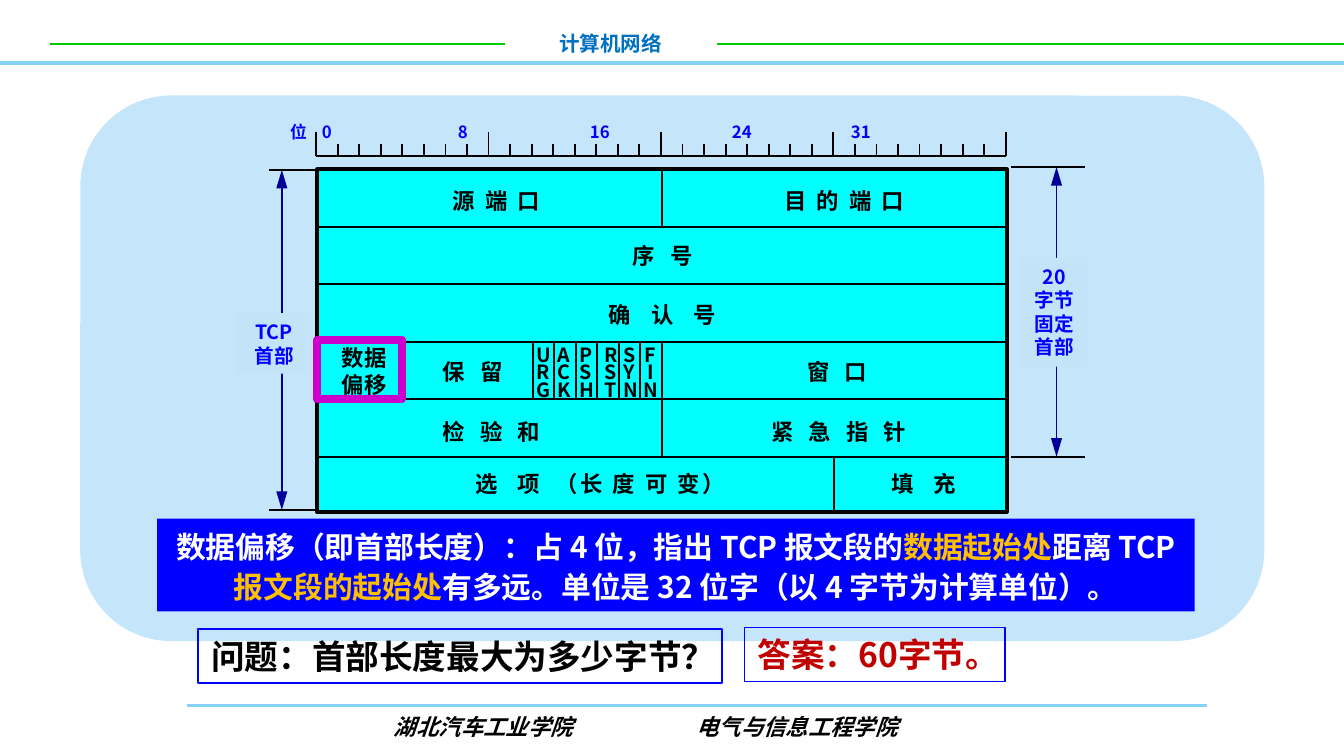
from lxml.etree import SubElement
from pptx import Presentation
from pptx.dml.color import RGBColor
from pptx.enum.shapes import MSO_CONNECTOR, MSO_SHAPE
from pptx.enum.text import MSO_ANCHOR, PP_ALIGN
from pptx.oxml.ns import qn
from pptx.util import Pt

COLORS = {
    "black": "000000", "white": "FFFFFF", "blue": "0000FF", "navy": "000099",
    "sky": "85D1F7", "green": "00CC00", "title": "0070C0", "panel": "C5E5FB",
    "label": "C3E3F9", "cyan": "00FFFF", "magenta": "CC00CC",
    "gold": "FFC000", "red": "C00000",
}
CJK = "Noto Sans CJK SC"
CENTER, LEFT = PP_ALIGN.CENTER, PP_ALIGN.LEFT


def rgb(name):
    return RGBColor.from_string(COLORS[name])


def add_line(page, x1, y1, x2, y2, color="black", width=1, arrows=False):
    line = page.shapes.add_connector(
        MSO_CONNECTOR.STRAIGHT, Pt(x1), Pt(y1), Pt(x2), Pt(y2))
    line.line.color.rgb = rgb(color)
    line.line.width = Pt(width)
    properties = line._element.spPr
    if arrows:
        outline = properties.find(qn("a:ln"))
        for end in ("a:headEnd", "a:tailEnd"):
            SubElement(outline, qn(end), type="triangle", w="med", len="lg")
    SubElement(properties, qn("a:effectLst"))


def add_box(page, left, top, width, height, fill=None, line=None,
            line_width=1, kind=MSO_SHAPE.RECTANGLE):
    box = page.shapes.add_shape(kind, Pt(left), Pt(top), Pt(width), Pt(height))
    box.shadow.inherit = False
    if fill:
        box.fill.solid()
        box.fill.fore_color.rgb = rgb(fill)
    else:
        box.fill.background()
    if line:
        box.line.color.rgb = rgb(line)
        box.line.width = Pt(line_width)
    else:
        box.line.fill.background()
    return box


def add_text(page, left, top, width, height, paras, size, **style):
    box = page.shapes.add_textbox(Pt(left), Pt(top), Pt(width), Pt(height))
    write(box, paras, size, **style)
    return box


def write(box, paras, size, color="black", align=CENTER, wrap=False,
          anchor=MSO_ANCHOR.TOP, line_spacing=None, font=CJK, italic=False,
          tabs=()):
    """Each paragraph is a list of (text, color or None, letter spacing) runs."""
    frame = box.text_frame
    frame.word_wrap = wrap
    frame.vertical_anchor = anchor
    for index, runs in enumerate(paras):
        para = frame.add_paragraph() if index else frame.paragraphs[0]
        para.alignment = align
        if line_spacing:
            para.line_spacing = line_spacing
        if tabs:
            stops = SubElement(para._p.get_or_add_pPr(), qn("a:tabLst"))
            for stop in tabs:
                SubElement(stops, qn("a:tab"), pos=str(Pt(stop)), algn="l")
        for text, own_color, spacing in runs:
            span = para.add_run()
            span.text = text
            span.font.size = Pt(size)
            span.font.bold = True
            span.font.italic = italic
            span.font.color.rgb = rgb(own_color or color)
            span.font.name = font
            properties = span._r.get_or_add_rPr()
            SubElement(properties, qn("a:ea"), typeface=CJK)
            if spacing:
                properties.set("spc", str(round(spacing * 100)))


def plain(*texts):
    return [[(text, None, 0)] for text in texts]


def draw_frame(page, width):
    # Course title between rules, and the footer
    add_line(page, 100, 378, 646.5, 378, "sky", 1.5)
    add_line(page, 384, 23.8, width, 23.8, "green")
    add_line(page, 26.6, 23.8, 270.7, 23.8, "green")
    add_line(page, 0, 33.8, width, 33.8, "sky", 2)
    add_text(page, 270.7, 13, 113, 20.9, plain("计算机网络"), 11, color="title")
    footer = add_text(page, 211, 378.7, 406, 21.6,
                      plain("湖北汽车工业学院\t电气与信息工程学院"), 12,
                      align=LEFT, font="Arial", italic=True, tabs=[162])
    footer.text_frame.margin_left = 0


def draw_ruler(page, left, base, width):
    # 32 bit ticks, a tall one at each byte
    add_line(page, left, base, left + width, base)
    for bit in range(33):
        x = left + bit * width / 32
        add_line(page, x, base - (6.5 if bit % 8 else 13), x, base)
    add_text(page, left - 21, base - 21.6, 402, 18,
             plain("位\t0\t8\t16\t24\t31"), 9, color="blue", align=LEFT,
             wrap=True, tabs=[17, 89.8, 160.6, 236.6, 300.4])


def draw_segment_header(page, left, top, width, height):
    row, bit = 30.8, width / 32
    add_box(page, left, top, width, height, "cyan", "black", 2)
    for index in range(1, 6):
        y = top + index * row
        add_line(page, left, y, left + width, y)

    # Field dividers: bit, first row, last row
    dividers = [(16, 0, 1), (16, 3, 5), (4, 3, 4), (24, 5, height / row)]
    dividers += [(flag_bit, 3, 4) for flag_bit in range(10, 16)]
    for at_bit, first, last in dividers:
        x = left + at_bit * bit
        add_line(page, x, top + first * row, x, top + last * row)

    # Field names: text, centre, top, letter spacing
    fields = [
        ("源 端 口", 95.3, 5.8, 1.35), ("目 的 端 口", 281.7, 5.8, 1.35),
        ("序 号", 183.7, 35.3, 2.7), ("确 认 号", 183.1, 67, 4.05),
        ("保 留", 81.9, 97.8, 2.7), ("窗 口", 277.4, 97.4, 2.7),
        ("检 验 和", 92.1, 129.6, 2.7), ("紧 急 指 针", 278, 129.6, 2.7),
        ("填 充", 323, 157.7, 4.05),
    ]
    for text, center, down, spacing in fields:
        add_text(page, left + center + spacing / 2 - 60, top + down, 120, 21.6,
                 [[(text, None, spacing)]], 12)
    add_text(page, left + 69, top + 157.7, 165.6, 21.6,
             [[("选 项", None, 4.05), (" （长 度 可 变）", None, 1.35)]], 12)
    add_text(page, left + 5.7, top + 90, 38.9, 36, plain("数据", "偏移"), 12)

    # Flag names, one letter to a line
    flags = [("URG", 110.2), ("ACK", 121.7), ("PSH", 133.2),
             ("RST", 146.9), ("SYN", 157), ("FIN", 167.1)]
    for flag, offset in flags:
        add_text(page, left + offset, top + 92.2, 23, 37, plain(*flag), 10.5,
                 align=CENTER if flag == "FIN" else LEFT, line_spacing=0.75)

    # Highlight on the data offset field
    add_box(page, left, top + 91.5, 45.4, 31.7, line="magenta", line_width=4.5)


def draw_span(page, x, top, bottom, tick_left, tick_right):
    # Double arrow between two end ticks
    add_line(page, x, top, x, bottom, "navy", arrows=True)
    for y in (top, bottom):
        add_line(page, tick_left, y, tick_right, y)


def draw_span_label(page, left, top, width, height, paras, **style):
    label = add_box(page, left, top, width, height, "label")
    write(label, paras, 10.5, color="blue", **style)


def draw_notes(page, left, top, width):
    # Explanation banner
    banner = add_box(page, left, top, width, 49.7, "blue")
    write(banner, [[
        ("数据偏移（即首部长度）：占 4 位，指出 TCP 报文段的", None, 0),
        ("数据起始处", "gold", 0), ("距离 TCP ", None, 0),
        ("报文段的起始处", "gold", 0),
        ("有多远。单位是 32 位字（以 4 字节为计算单位）。", None, 0),
    ]], 16, color="white", wrap=True, line_spacing=1.1)
    # Question and answer
    for text, dx, dy, box_width, color in (
            ("问题：首部长度最大为多少字节？", 21.9, 59.1, 280.8, "black"),
            ("答案：60字节。", 314.6, 58.3, 139.7, "red")):
        box = add_box(page, left + dx, top + dy, box_width, 29, None, "blue", 0.75)
        write(box, plain(text), 18, color=color, align=LEFT, wrap=True)


def main():
    deck = Presentation()
    deck.slide_width, deck.slide_height = Pt(720), Pt(405)
    page = deck.slides.add_slide(deck.slide_layouts[6])
    draw_frame(page, 720)
    add_box(page, 43, 51.2, 634.3, 292.3, "panel", kind=MSO_SHAPE.ROUNDED_RECTANGLE)
    draw_span(page, 151, 91, 273.2, 144.2, 169.6)
    draw_span(page, 566, 89.5, 244.7, 541.6, 581)
    draw_span_label(page, 547.2, 138.2, 35.3, 58.3,
                    plain("20", "字节", "固定", "首部"))
    draw_span_label(page, 127.4, 167.8, 38.9, 32.4, plain("TCP 首部"),
                    wrap=True, anchor=MSO_ANCHOR.MIDDLE)
    draw_segment_header(page, 169.9, 90.7, 369.4, 183.6)
    draw_ruler(page, 169.4, 83.5, 369.4)
    draw_notes(page, 84.2, 277.9, 555.8)
    deck.save("out.pptx")


if __name__ == "__main__":
    main()
